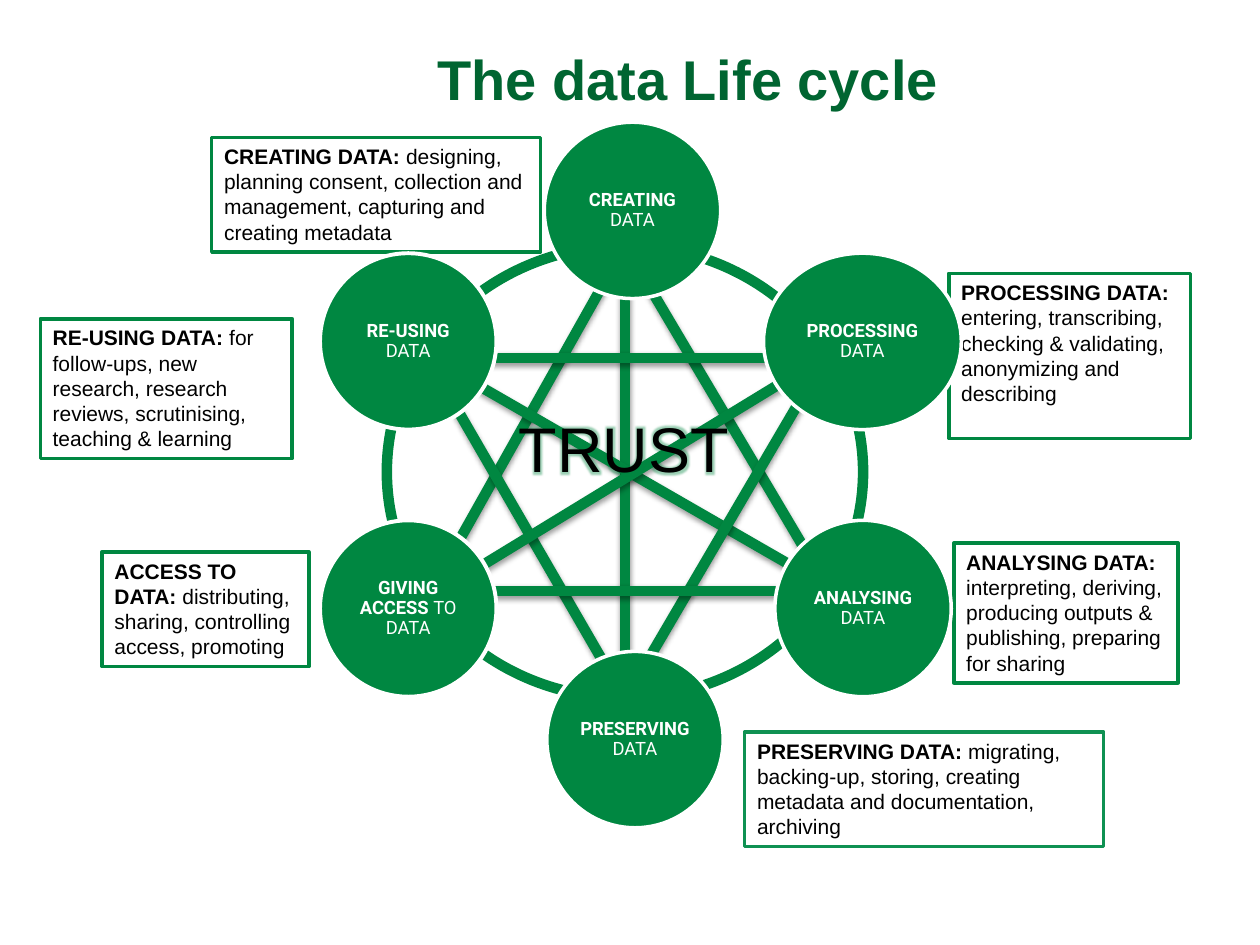
from dataclasses import dataclass

from lxml import etree
from pptx import Presentation
from pptx.dml.color import RGBColor
from pptx.enum.shapes import MSO_CONNECTOR, MSO_SHAPE
from pptx.enum.text import MSO_ANCHOR, MSO_AUTO_SIZE, PP_ALIGN
from pptx.oxml.ns import qn
from pptx.util import Inches, Pt

OVAL, RECT = MSO_SHAPE.OVAL, MSO_SHAPE.RECTANGLE
STRAIGHT = MSO_CONNECTOR.STRAIGHT
TOP, MIDDLE = MSO_ANCHOR.TOP, MSO_ANCHOR.MIDDLE
LEFT, CENTER = PP_ALIGN.LEFT, PP_ALIGN.CENTER
GROW, FIXED = MSO_AUTO_SIZE.SHAPE_TO_FIT_TEXT, MSO_AUTO_SIZE.NONE


@dataclass(frozen=True)
class Theme:
    green: str = "008741"
    leaf: str = "0F9152"
    dark: str = "006531"
    white: str = "FFFFFF"
    black: str = "000000"
    font: str = "Arial"
    label: str = "Roboto"
    title: float = 32
    trust: float = 36
    note: float = 12
    stage: float = 10.5
    spoke: float = 6


@dataclass(frozen=True)
class Note:
    x: float
    y: float
    w: float
    h: float
    head: str
    body: str
    line: str = "008741"
    weight: float = 2


@dataclass(frozen=True)
class Stage:
    x: float
    y: float
    head: str
    body: str
    w: float = 1.4
    weight: float = 2


THEME = Theme()
SIZE = 1.4

# Heads end in no-break spaces, which set where the lines wrap.
NOTES = [
    Note(7.53, 2.17, 1.92, 1.31, "PROCESSING DATA:  ",
         "entering, transcribing, checking & validating, anonymizing and describing"),
    Note(7.57, 4.31, 1.78, 1.11, "ANALYSING DATA: ",
         "interpreting, deriving, producing outputs & publishing, preparing for sharing"),
    Note(5.91, 5.81, 2.85, 0.91, "PRESERVING DATA: ",
         "migrating, backing-up, storing, creating metadata and documentation, archiving",
         THEME.leaf),
    Note(0.32, 2.53, 2, 1.11, "RE-USING DATA: ",
         "for follow-ups, new research, research reviews, scrutinising, teaching & learning"),
    Note(1.68, 1.09, 2.61, 0.91, "CREATING DATA: ",
         "designing, planning consent, collection and management, capturing and creating metadata"),
    Note(0.81, 4.38, 1.64, 0.91, "ACCESS TO DATA: ",
         "distributing, sharing, controlling access, promoting", weight=2.25),
]

STAGES = [
    Stage(4.32, 0.97, "CREATING", " DATA"),
    Stage(4.34, 5.17, "PRESERVING", " DATA"),
    Stage(2.54, 2.01, "RE-USING ", "DATA", weight=2.25),
    Stage(6.06, 2.01, "PROCESSING", " DATA", w=1.57),
    Stage(6.15, 4.13, "ANALYSING", " DATA"),
    Stage(2.54, 4.13, "GIVING ACCESS ", "TO DATA", weight=2.25),
]

CREATE, KEEP = (4.96, 1.95), (4.96, 5.55)
REUSE, PROCESS = (3.38, 2.82), (6.56, 2.82)
ACCESS, ANALYSE = (3.38, 4.76), (6.56, 4.65)
SPOKES = [
    (CREATE, KEEP), (CREATE, ANALYSE), (CREATE, ACCESS), (REUSE, ANALYSE),
    (KEEP, PROCESS), (KEEP, REUSE), (PROCESS, ACCESS),
    ((6.29, 4.69), (3.62, 4.69)), ((3.62, 2.84), (6.29, 2.84)),
]


def rgb(code: str) -> RGBColor:
    return RGBColor.from_string(code)


def add_effect(parent, kind: str, color: str, alpha: int, **attrs) -> etree.ElementBase:
    """Append an effect list holding one effect; alpha is in percent."""
    box = etree.SubElement(parent, qn("a:effectLst"))
    item = etree.SubElement(box, qn(kind), {k: str(v) for k, v in attrs.items()})
    tint = etree.SubElement(item, qn("a:srgbClr"), val=color)
    etree.SubElement(tint, qn("a:alpha"), val=str(alpha * 1000))
    return box


def style(font, name: str, size: float, color: str, bold: bool = False) -> None:
    font.name, font.size, font.bold = name, Pt(size), bold
    font.color.rgb = rgb(color)


def add_shape(slide, kind, x, y, w, h, fill: str, line: str, weight: float):
    shape = slide.shapes.add_shape(kind, Inches(x), Inches(y), Inches(w), Inches(h))
    shape.shadow.inherit = False
    shape.fill.solid()
    shape.fill.fore_color.rgb = rgb(fill)
    shape.line.color.rgb = rgb(line)
    shape.line.width = Pt(weight)
    return shape


def write_pair(shape, head: str, body: str, name: str, size: float, color: str):
    """Write a bold head and a plain body as one paragraph."""
    shape.text_frame.word_wrap = True
    para = shape.text_frame.paragraphs[0]
    for text, bold in ((head, True), (body, False)):
        run = para.add_run()
        run.text = text
        style(run.font, name, size, color, bold)
    return para


def add_note(slide, note: Note) -> None:
    box = add_shape(slide, RECT, note.x, note.y, note.w, note.h,
                    THEME.white, note.line, note.weight)
    frame = box.text_frame
    frame.auto_size, frame.vertical_anchor = GROW, TOP
    para = write_pair(box, note.head, note.body, THEME.font, THEME.note, THEME.black)
    para.alignment = LEFT


def add_stage(slide, stage: Stage) -> None:
    disc = add_shape(slide, OVAL, stage.x, stage.y, stage.w, SIZE,
                     THEME.green, THEME.white, stage.weight)
    frame = disc.text_frame
    frame.vertical_anchor = MIDDLE
    frame.margin_left = frame.margin_right = Inches(0.02)
    frame.margin_top = frame.margin_bottom = Inches(0.02)
    para = write_pair(disc, stage.head, stage.body, THEME.label, THEME.stage, THEME.white)
    para.alignment, para.line_spacing = CENTER, 0.9


def add_spoke(slide, start: tuple[float, float], end: tuple[float, float]) -> None:
    line = slide.shapes.add_connector(STRAIGHT, *map(Inches, start + end))
    line.line.color.rgb = rgb(THEME.green)
    line.line.width = Pt(THEME.spoke)
    add_effect(line._element.spPr, "a:outerShdw", THEME.black, 38,
               blurRad=Pt(3.1), dist=Pt(1.6), dir=90 * 60000, rotWithShape=0)


def add_title(slide) -> None:
    title = slide.shapes.title
    title.left, title.top = Inches(1.42), Inches(0.3)
    title.width, title.height = Inches(8.08), Inches(0.95)
    frame = title.text_frame
    frame.text = "The data Life cycle"
    frame.vertical_anchor, frame.auto_size = TOP, FIXED
    para = frame.paragraphs[0]
    para.alignment = CENTER
    style(para.runs[0].font, THEME.font, THEME.title, THEME.dark, True)


def add_trust(slide) -> None:
    box = slide.shapes.add_textbox(Inches(4.02), Inches(3.2), Inches(1.88), Inches(0.71))
    frame = box.text_frame
    frame.text = "TRUST"
    frame.word_wrap, frame.auto_size = False, GROW
    font = frame.paragraphs[0].runs[0].font
    style(font, THEME.font, THEME.trust, THEME.black)
    props = font._element
    glow = add_effect(props, "a:glow", THEME.green, 40, rad=Pt(5))
    props.find(qn("a:solidFill")).addnext(glow)


def main() -> None:
    deck = Presentation()
    deck.slide_width, deck.slide_height = Inches(10), Inches(7.5)
    slide = deck.slides.add_slide(deck.slide_layouts[5])
    add_title(slide)
    add_shape(slide, OVAL, 3.07, 1.95, 3.78, 3.59, THEME.white, THEME.green, THEME.spoke)
    for note in NOTES:
        add_note(slide, note)
    for start, end in SPOKES:
        add_spoke(slide, start, end)
    for stage in STAGES:
        add_stage(slide, stage)
    add_trust(slide)
    deck.save("out.pptx")


if __name__ == "__main__":
    main()
